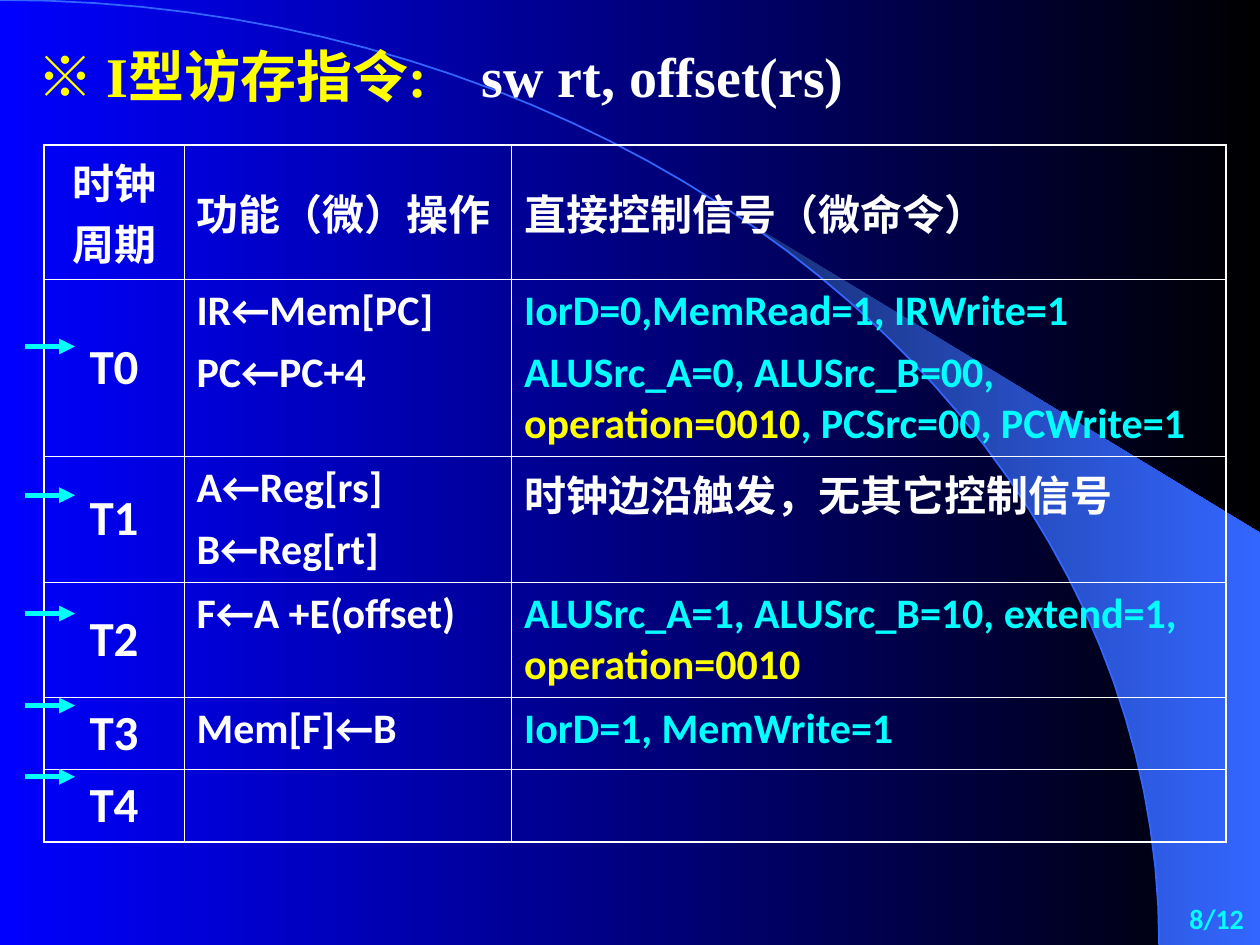
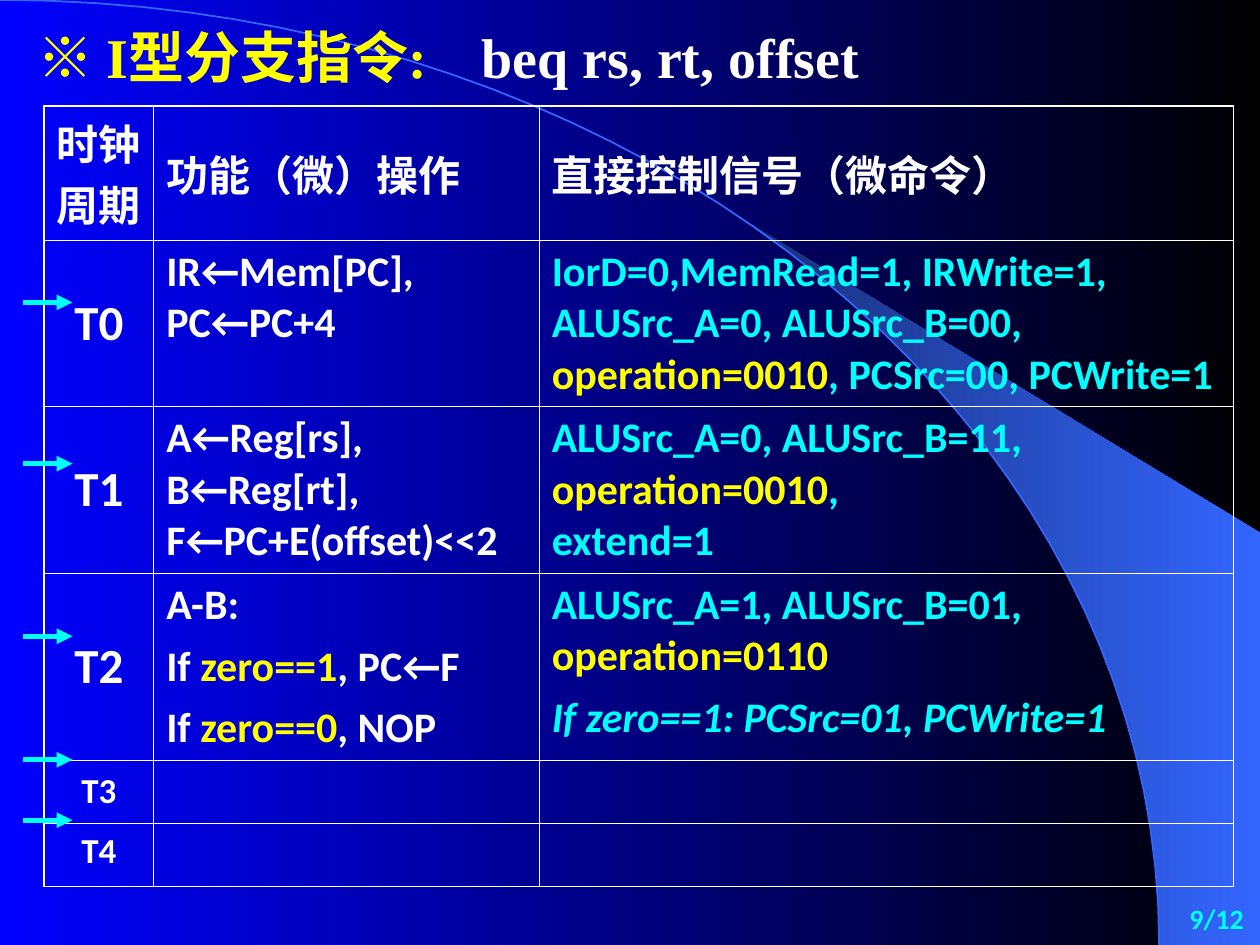
from dataclasses import dataclass

from lxml.etree import SubElement
from pptx import Presentation
from pptx.dml.color import RGBColor as RGB
from pptx.enum.shapes import MSO_CONNECTOR as CONN
from pptx.enum.text import MSO_ANCHOR as ANCHOR, MSO_AUTO_SIZE as AUTO, PP_ALIGN as ALIGN
from pptx.oxml.ns import qn
from pptx.util import Inches, Pt

GRID = Inches(0.1)
COLS, ROWS = 100, 75
TITLE_ONLY = 5
TOTAL = 12


@dataclass(frozen=True)
class Theme:
    white: str = "FFFFFF"
    signal: str = "00FFFF"
    accent: str = "FFFF00"
    back: tuple = ("0000FF", "000000")
    crescent: tuple = ("182F76", "3366FF")
    arc: str = "3366FF"
    latin: str = "Calibri"
    serif: str = "Times New Roman"
    cjk: str = "Noto Sans CJK SC"
    title: int = 32
    step: int = 28
    body: int = 24
    idle: int = 20
    footer: int = 16
    outer: float = 1.08
    inner: float = 0.45
    arrow: float = 3
    curve: float = 1


T = Theme()


@dataclass(frozen=True)
class Para:
    text: str
    color: str = T.white
    italic: bool = False
    before: float = 6


def signal(text, **kw):
    return Para(text, T.signal, **kw)


def g(n):
    return round(n * GRID)


def box(*cells):
    return [g(n) for n in cells]


def rgb(code):
    return RGB.from_string(code)


def gradient(fill, colors):
    fill.gradient()
    fill.gradient_angle = 0
    for stop, color in zip(fill.gradient_stops, colors):
        stop.color.rgb = rgb(color)


def style(p, size, name=T.latin, color=T.white, italic=False):
    f = p.font
    f.size, f.name, f.bold, f.italic = Pt(size), name, True, italic
    f.color.rgb = rgb(color)
    SubElement(f._element, qn("a:ea"), typeface=T.cjk)


def add_run(p, text, color=None, name=None):
    r = p.add_run()
    r.text = text
    if color:
        r.font.color.rgb = rgb(color)
    if name:
        r.font.name = name


def arc_points(start, steps=40):
    ctrl = [(0, 0), (0.508 * COLS, 0), (0.92 * COLS, 0.447 * ROWS), (0.92 * COLS, ROWS)]
    points = []
    for i in range(steps + 1):
        t = start + (1 - start) * i / steps
        weights = ((1 - t) ** 3, 3 * t * (1 - t) ** 2, 3 * t * t * (1 - t), t ** 3)
        points.append(tuple(g(sum(w * c[k] for w, c in zip(weights, ctrl))) for k in (0, 1)))
    return points


def freeform(s, points, close):
    fb = s.shapes.build_freeform(*points[0])
    fb.add_line_segments(points[1:], close=close)
    sp = fb.convert_to_shape()
    sp.shadow.inherit = False
    return sp


def decorate_master(prs, s):
    master = prs.slide_master
    gradient(master.background.fill, T.back)

    corner = [(g(COLS), g(ROWS)), (g(COLS), g(0.564 * ROWS))]
    crescent = freeform(s, arc_points(0.44) + corner, True)
    gradient(crescent.fill, T.crescent)
    crescent.line.fill.background()

    arc = freeform(s, arc_points(0), False)
    arc.fill.background()
    arc.line.color.rgb = rgb(T.arc)
    arc.line.width = Pt(T.curve)

    for i, sp in enumerate((crescent, arc)):
        master.shapes.element.insert(2 + i, sp.element)


def add_title(s, top, kind, code):
    sp = s.shapes.title
    sp.left, sp.top, sp.width, sp.height = box(2, top, 78, 6.4)
    tf = sp.text_frame
    tf.auto_size, tf.vertical_anchor = AUTO.NONE, ANCHOR.TOP
    p = tf.paragraphs[0]
    p.alignment = ALIGN.LEFT
    tabs = SubElement(p._p.get_or_add_pPr(), qn("a:tabLst"))
    SubElement(tabs, qn("a:tab"), pos=str(g(35.2)), algn="l")
    style(p, T.title, T.serif, T.accent)
    add_run(p, "※ ", name=T.cjk)
    add_run(p, f"I型{kind}指令:\t")
    add_run(p, code, T.white)


def add_footer(s, number):
    tf = s.shapes.add_textbox(*box(87.9, 70.9, 11.8, 3.9)).text_frame
    tf.word_wrap, tf.vertical_anchor = True, ANCHOR.MIDDLE
    p = tf.paragraphs[0]
    p.alignment = ALIGN.RIGHT
    style(p, T.footer, color=T.signal)
    add_run(p, f"{number}/{TOTAL}")


def add_arrow(s, left, y):
    cx = s.shapes.add_connector(CONN.STRAIGHT, *box(left, y, left + 3.95, y))
    cx.line.color.rgb = rgb(T.signal)
    cx.line.width = Pt(T.arrow)
    SubElement(cx.line._get_or_add_ln(), qn("a:tailEnd"), type="triangle")
    SubElement(cx._element.spPr, qn("a:effectLst"))


def border(cell, outer_sides):
    tcPr = cell._tc.get_or_add_tcPr()
    for side in "LRTB":
        width = T.outer if side in outer_sides else T.inner
        ln = SubElement(tcPr, qn(f"a:ln{side}"), w=str(Pt(width)))
        SubElement(SubElement(ln, qn("a:solidFill")), qn("a:srgbClr"), val=T.white)
    cell.fill.background()


def fill_cell(cell, paras, size, name, centred):
    tf = cell.text_frame
    for i, para in enumerate(paras):
        p = tf.add_paragraph() if i else tf.paragraphs[0]
        p.space_before = Pt(para.before)
        p.alignment = ALIGN.CENTER if centred else ALIGN.LEFT
        style(p, size, name, para.color, para.italic)
        for k, part in enumerate(para.text.split("|")):
            if part:
                add_run(p, part, T.accent if k % 2 else None)


def add_cycle_table(s, left, top, widths, heights, steps, label_sizes):
    header = [[Para("时钟周期")], [Para("功能（微）操作")], [Para("直接控制信号（微命令）")]]
    rows = [header] + [[[Para(f"T{i}")], *cells] for i, cells in enumerate(steps)]
    last_row, last_col = len(rows) - 1, len(widths) - 1
    frame = s.shapes.add_table(len(rows), len(widths),
                               *box(left, top, sum(widths), sum(heights)))
    table = frame.table
    table.first_row = table.horz_banding = False
    for col, width in zip(table.columns, widths):
        col.width = g(width)
    for row, height in zip(table.rows, heights):
        row.height = g(height)
    for i, cells in enumerate(rows):
        for j, paras in enumerate(cells):
            cell = table.cell(i, j)
            edges = (("L", j == 0), ("R", j == last_col), ("T", i == 0), ("B", i == last_row))
            border(cell, [side for side, on in edges if on])
            label = i > 0 and j == 0
            middle = (i == 0) != (j == 0) and i < last_row
            cell.vertical_anchor = ANCHOR.MIDDLE if middle else ANCHOR.TOP
            size = label_sizes[i - 1] if label else T.body
            fill_cell(cell, paras, size, T.latin if i else T.serif, j == 0)


def cycle_slide(s, number, title_top, kind, code, table, arrow_left, arrows):
    add_cycle_table(s, **table)
    add_title(s, title_top, kind, code)
    for y in arrows:
        add_arrow(s, arrow_left, y)
    add_footer(s, number)


STORE = dict(
    number=8, title_top=2.8, kind="访存", code="sw rt, offset(rs)",
    arrow_left=2, arrows=[27.5, 39.3, 48.7, 56, 61.65],
    table=dict(
        left=3.5, top=11.5, widths=[11.1, 26, 56.7],
        heights=[9, 13.9, 9.9, 9, 5.7, 5.7], label_sizes=[T.step] * 5,
        steps=[
            ([Para("IR←Mem[PC]"), Para("PC←PC+4")],
             [signal("IorD=0,MemRead=1, IRWrite=1"),
              signal("ALUSrc_A=0, ALUSrc_B=00, |operation=0010|, PCSrc=00, PCWrite=1")]),
            ([Para("A←Reg[rs]"), Para("B←Reg[rt]")],
             [Para("时钟边沿触发，无其它控制信号")]),
            ([Para("F←A +E(offset)")],
             [signal("ALUSrc_A=1, ALUSrc_B=10, extend=1, |operation=0010")]),
            ([Para("Mem[F]←B", before=0)], [signal("IorD=1, MemWrite=1")]),
            ([], []),
        ]))

BRANCH = dict(
    number=9, title_top=1.3, kind="分支", code="beq rs, rt, offset",
    arrow_left=1.8, arrows=[24, 36.8, 50.5, 60.3, 65.1],
    table=dict(
        left=3.5, top=8.4, widths=[8.7, 30.6, 55.1],
        heights=[9, 13, 13, 14.7, 5, 5], label_sizes=[T.step] * 3 + [T.idle] * 2,
        steps=[
            ([Para("IR←Mem[PC], PC←PC+4")],
             [signal("IorD=0,MemRead=1, IRWrite=1, ALUSrc_A=0, ALUSrc_B=00, "
                     "|operation=0010|, PCSrc=00, PCWrite=1")]),
            ([Para("A←Reg[rs], B←Reg[rt], F←PC+E(offset)<<2")],
             [signal("ALUSrc_A=0, ALUSrc_B=11, |operation=0010|, "),
              signal("extend=1", before=0)]),
            ([Para("A-B:"), Para("If |zero==1|, PC←F"), Para("If |zero==0|, NOP")],
             [signal("ALUSrc_A=1, ALUSrc_B=01, |operation=0110"),
              signal("If zero==1: PCSrc=01, PCWrite=1", italic=True)]),
            ([], []),
            ([], []),
        ]))


prs = Presentation()
prs.slide_width, prs.slide_height = g(COLS), g(ROWS)
slides = [prs.slides.add_slide(prs.slide_layouts[TITLE_ONLY]) for _ in range(2)]
decorate_master(prs, slides[0])
for s, content in zip(slides, (STORE, BRANCH)):
    cycle_slide(s, **content)
prs.save("out.pptx")
